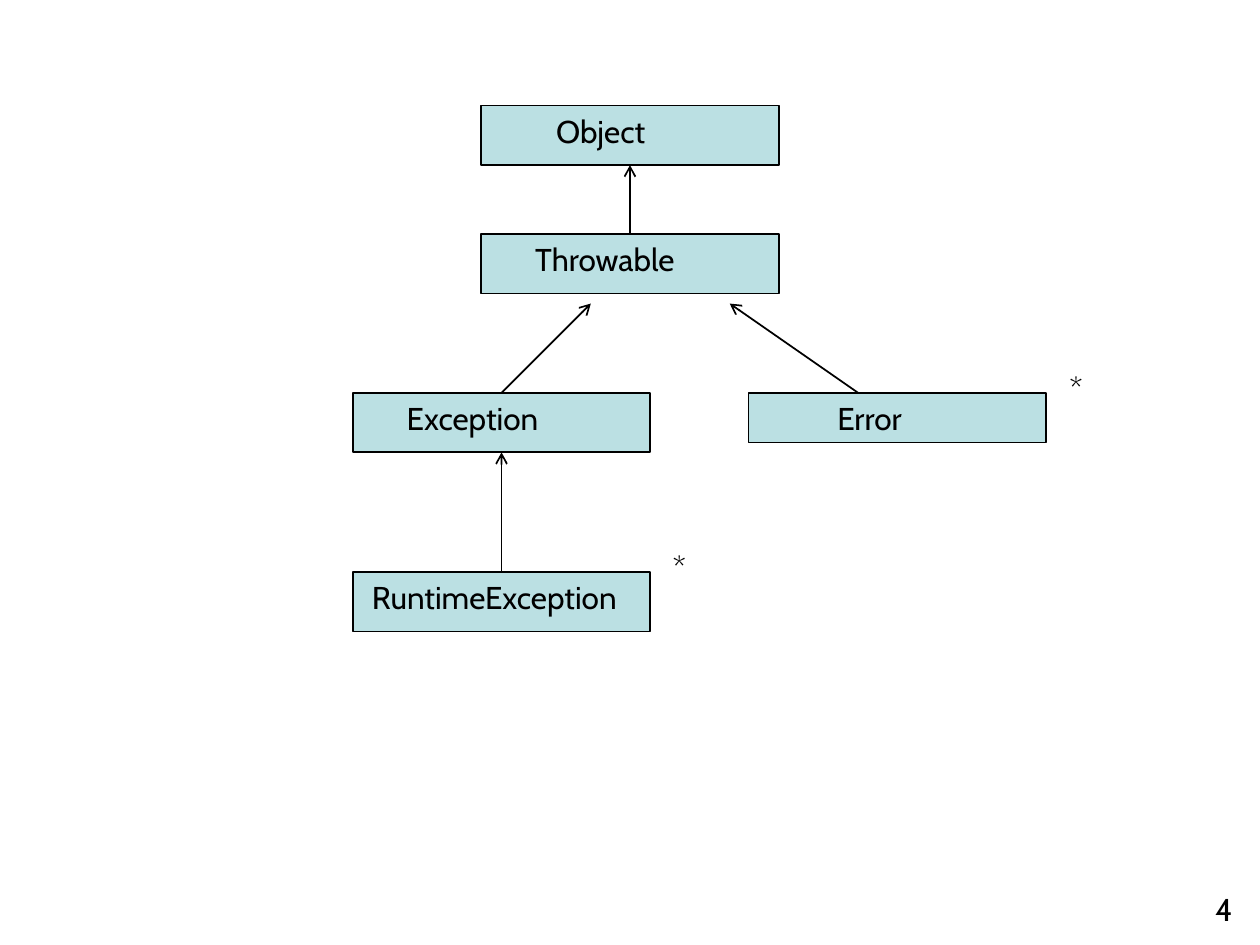
from lxml import etree
from pptx import Presentation, util as u
from pptx.dml.color import RGBColor
from pptx.enum import shapes, text
from pptx.oxml.ns import qn

BLACK = "000000"
PALE_TEAL = "BBE0E3"
TOP, BOTTOM = 0, 2


def color(hex_string):
    return RGBColor.from_string(hex_string)


def write(frame, words, align=text.PP_ALIGN.LEFT):
    frame.vertical_anchor = text.MSO_ANCHOR.TOP
    paragraph = frame.paragraphs[0]
    paragraph.text = words
    paragraph.alignment = align
    paragraph.font.name = "Cabin"
    paragraph.font.size = u.Pt(18)
    paragraph.font.color.rgb = color(BLACK)


prs = Presentation()
prs.slide_width, prs.slide_height = u.Cm(25.4), u.Cm(19.05)
slide = prs.slides.add_slide(prs.slide_layouts[6])

page_number = slide.shapes.add_textbox(u.Cm(19.18), u.Cm(17.81), u.Cm(5.92), u.Cm(1.32))
page_number.text_frame.word_wrap = True
write(page_number.text_frame, "4", text.PP_ALIGN.RIGHT)

# Class name, left, top, height, text indent (cm)
classes = [
    ("Object", 9.7, 2.13, 1.2, 1.26),
    ("Throwable", 9.7, 4.72, 1.2, 0.84),
    ("Exception", 7.11, 7.92, 1.2, 0.84),
    ("Error", 15.09, 7.92, 1, 1.54),
    ("RuntimeException", 7.11, 11.53, 1.2, 0.14),
]
boxes = {}
for name, left, top, height, indent in classes:
    box = slide.shapes.add_shape(
        shapes.MSO_SHAPE.RECTANGLE, u.Cm(left), u.Cm(top), u.Cm(6), u.Cm(height))
    box.shadow.inherit = False
    box.fill.solid()
    box.fill.fore_color.rgb = color(PALE_TEAL)
    box.line.color.rgb = color(BLACK)
    box.line.width = u.Pt(1)
    box.text_frame.margin_left = u.Cm(0.25 + indent)
    write(box.text_frame, name)
    boxes[name] = box

# Subclass, superclass, start and end (cm); None joins the middle of the box side
inheritance = [
    ("Throwable", "Object", None, None),
    ("Exception", "Throwable", None, (11.91, 6.12)),
    ("Error", "Throwable", (17.3, 7.92), (14.71, 6.12)),
    ("RuntimeException", "Exception", None, None),
]
for subclass, superclass, start, end in inheritance:
    points = [u.Cm(value) for value in (start or (0, 0)) + (end or (0, 0))]
    arrow = slide.shapes.add_connector(shapes.MSO_CONNECTOR.STRAIGHT, *points)
    if start is None:
        arrow.begin_connect(boxes[subclass], TOP)
    if end is None:
        arrow.end_connect(boxes[superclass], BOTTOM)
    arrow.line.color.rgb = color(BLACK)
    arrow.line.width = u.Pt(1)
    etree.SubElement(arrow.line._get_or_add_ln(), qn("a:tailEnd"), type="arrow")
    etree.SubElement(arrow._element.spPr, qn("a:effectLst"))

for left, top in [(13.31, 10.92), (21.31, 7.32)]:
    asterisk = slide.shapes.add_textbox(u.Cm(left), u.Cm(top), u.Cm(0.86), u.Cm(1.02))
    asterisk.text_frame.word_wrap = False
    asterisk.text_frame.auto_size = text.MSO_AUTO_SIZE.SHAPE_TO_FIT_TEXT
    write(asterisk.text_frame, "*")

prs.save("out.pptx")
